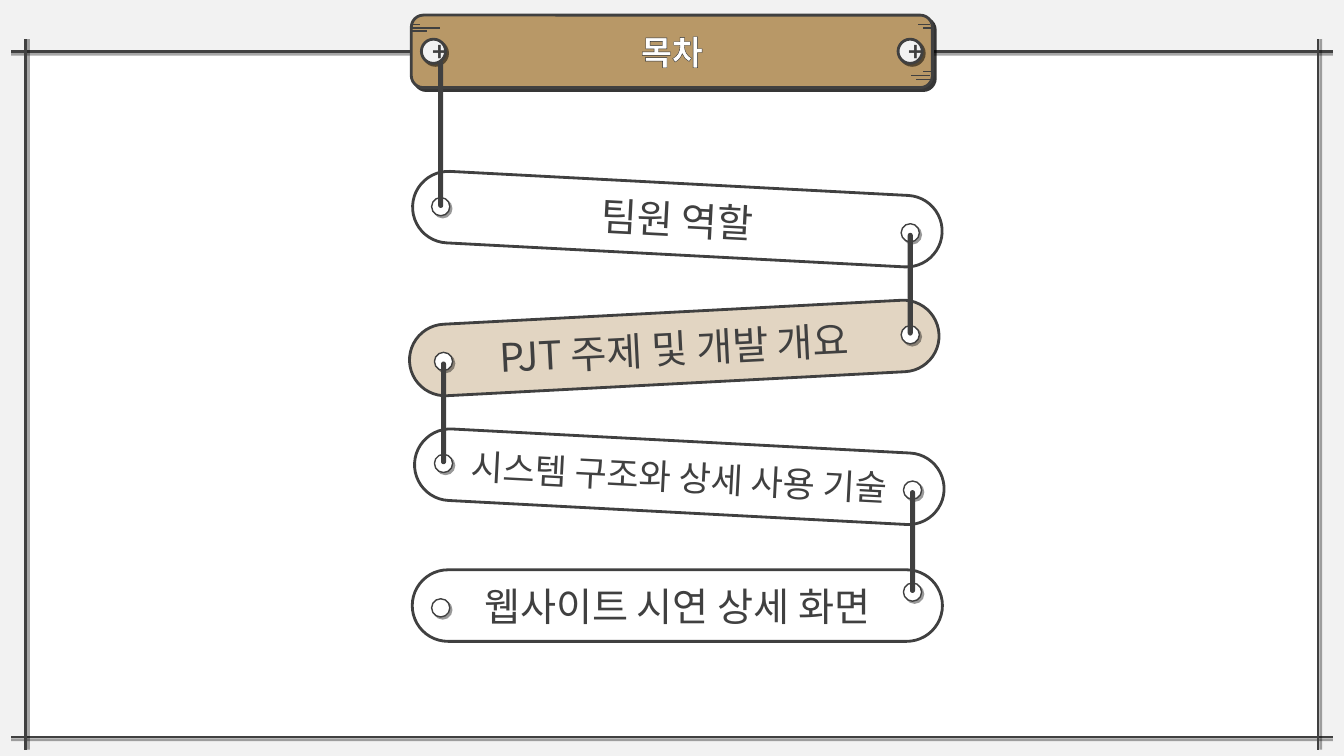
"""Build a contents slide of hanging signs joined by cords."""
from pptx import Presentation
from pptx.dml.color import RGBColor
from pptx.enum import shapes as es, text as et
from pptx.oxml import parse_xml
from pptx.oxml.ns import nsdecls, qn
from pptx.util import Pt

FACE = "Noto Sans CJK KR"
INK, WHITE, PALE, TAN = "404040", "FFFFFF", "F2F2F2", "B89867"
WIDE, HIGH = 960, 540
ROUND, OVAL = es.MSO_SHAPE.ROUNDED_RECTANGLE, es.MSO_SHAPE.OVAL


def hue(code):
    """Return the colour of a hex string."""
    return RGBColor.from_string(code)


def shade(shape, alpha, dist, angle):
    """Give a shape or line a hard black shadow."""
    props = shape.element.spPr
    for old in props.findall(qn("a:effectLst")):
        props.remove(old)
    props.append(parse_xml(
        f'<a:effectLst {nsdecls("a")}><a:outerShdw blurRad="0" dist="{Pt(dist)}" '
        f'dir="{angle * 60000}" algn="ctr" rotWithShape="0"><a:srgbClr val="000000">'
        f'<a:alpha val="{alpha * 1000}"/></a:srgbClr></a:outerShdw></a:effectLst>'))


def paint(shape, fill, width=0):
    """Set a shape's fill and outline, without a shadow."""
    shape.shadow.inherit = False
    shape.fill.solid()
    shape.fill.fore_color.rgb = hue(fill)
    if width:
        shape.line.color.rgb = hue(INK)
        shape.line.width = Pt(width)
    else:
        shape.line.fill.background()


def block(slide, kind, left, top, wide, high, fill, width=0):
    """Add a painted preset shape."""
    shape = slide.shapes.add_shape(kind, Pt(left), Pt(top), Pt(wide), Pt(high))
    paint(shape, fill, width)
    return shape


def write(shape, words, size, color=INK, bold=False):
    """Put one centred line of text in a shape."""
    frame = shape.text_frame
    frame.text = words
    frame.word_wrap = True
    frame.auto_size = et.MSO_AUTO_SIZE.NONE
    frame.vertical_anchor = et.MSO_ANCHOR.MIDDLE
    para = frame.paragraphs[0]
    para.alignment = et.PP_ALIGN.CENTER
    font = para.font
    font.name, font.size, font.bold = FACE, Pt(size), bold
    font.color.rgb = hue(color)
    props = next(shape.element.iter(qn("a:defRPr")))
    props.append(parse_xml(f'<a:ea {nsdecls("a")} typeface="{FACE}"/>'))
    return props


def rule(slide, x1, y1, x2, y2, width):
    """Add a straight dark line."""
    line = slide.shapes.add_connector(
        es.MSO_CONNECTOR.STRAIGHT, Pt(x1), Pt(y1), Pt(x2), Pt(y2))
    line.line.color.rgb = hue(INK)
    line.line.width = Pt(width)
    line.element.spPr.append(parse_xml(f'<a:effectLst {nsdecls("a")}/>'))
    return line


def border(slide):
    """Draw the pale margin and its four crossing lines."""
    left, top, right, base = 18.4, 36.8, 941.4, 526.4
    pen = slide.shapes.build_freeform(Pt(left), Pt(top))
    pen.add_line_segments(
        [(Pt(x), Pt(y)) for x, y in [(left, base), (right, base), (right, top)]])
    pen.move_to(0, 0)
    pen.add_line_segments(
        [(Pt(x), Pt(y)) for x, y in [(WIDE, 0), (WIDE, HIGH), (0, HIGH)]])
    paint(pen.convert_to_shape(), PALE)
    for y in (top, base):
        shade(rule(slide, 8, y, WIDE - 8, y, 2), 35, 2, 90)
    for x in (left, right):
        shade(rule(slide, x, 28, x, 535.5, 2), 35, 2, 0)


def header(slide):
    """Draw the wooden title plate with bolts and grain."""
    box = (293.8, 10.8, 372.2, 51.8)
    shade(block(slide, ROUND, *box, TAN, 2), 78, 3, 45)
    title = slide.shapes.title
    title.left, title.top, title.width, title.height = map(Pt, box)
    props = write(title, "목차", 24, WHITE, True)
    props.insert(0, parse_xml(
        f'<a:ln {nsdecls("a")} w="{Pt(0.75)}"><a:solidFill>'
        '<a:srgbClr val="262626"/></a:solidFill></a:ln>'))
    title.element.getparent().append(title.element)
    for x in (301, 641.5):
        bolt = block(slide, OVAL, x, 28, 17.3, 17.3, PALE, 2)
        shade(bolt, 52, 2, 45)
        write(bolt, "+", 18, bold=True)
    grain = [(293.8, 314, 20), (293.8, 305.3, 22.3), (294.5, 300.2, 17.3),
             (651, 664.6, 54), (654.5, 665.3, 56.9), (659.5, 665.3, 51),
             (659.5, 665.3, 20), (656, 664.6, 17.3)]
    for x1, x2, y in grain:
        rule(slide, x1, y, x2, y, 1)


def sign(slide, left, top, turn, words, size, tint):
    """Draw a tilted pill with its text."""
    pill = block(slide, ROUND, left, top, 378.7, 51.1, TAN if tint else WHITE, 2)
    pill.adjustments[0] = 0.5
    pill.rotation = turn
    if tint:
        color = next(pill.element.spPr.iter(qn("a:srgbClr")))
        color.append(parse_xml(f'<a:alpha {nsdecls("a")} val="40000"/>'))
    write(pill, words, size)


def hole(slide, x, y):
    """Draw a small hole centred on a point."""
    shade(block(slide, OVAL, x - 6.5, y - 6.5, 13, 13, WHITE, 1), 40, 2, 45)


def cord(slide, x, top, base):
    """Hang a round-ended cord between two heights."""
    bar = block(slide, ROUND, x - 1.8, top, 3.6, base - top, INK)
    bar.adjustments[0] = 0.5


def main():
    """Build and save the slide."""
    deck = Presentation()
    deck.slide_width, deck.slide_height = Pt(WIDE), Pt(HIGH)
    slide = deck.slides.add_slide(deck.slide_layouts[5])
    border(slide)
    header(slide)
    signs = [(294.5, 3, "팀원 역할", 28, False),
             (292.3, 357, "PJT 주제 및 개발 개요", 28, True),
             (295.9, 3, "시스템 구조와 상세 사용 기술", 25, False),
             (294.5, 0, "웹사이트 시연 상세 화면", 28, False)]
    for i, (left, *rest) in enumerate(signs):
        sign(slide, left, 131 + 92 * i, *rest)
    hole(slide, 314.8, 147.6)
    cord(slide, 314.8, 43.2, 148.5)
    for i, x in enumerate((650.2, 316.8, 651.8)):
        top = 166.3 + 91.9 * i
        for y in (top, top + 72.8):
            hole(slide, x, y)
        cord(slide, x, top, top + 73.4)
    hole(slide, 314.8, 434.2)
    deck.save("out.pptx")


if __name__ == "__main__":
    main()
